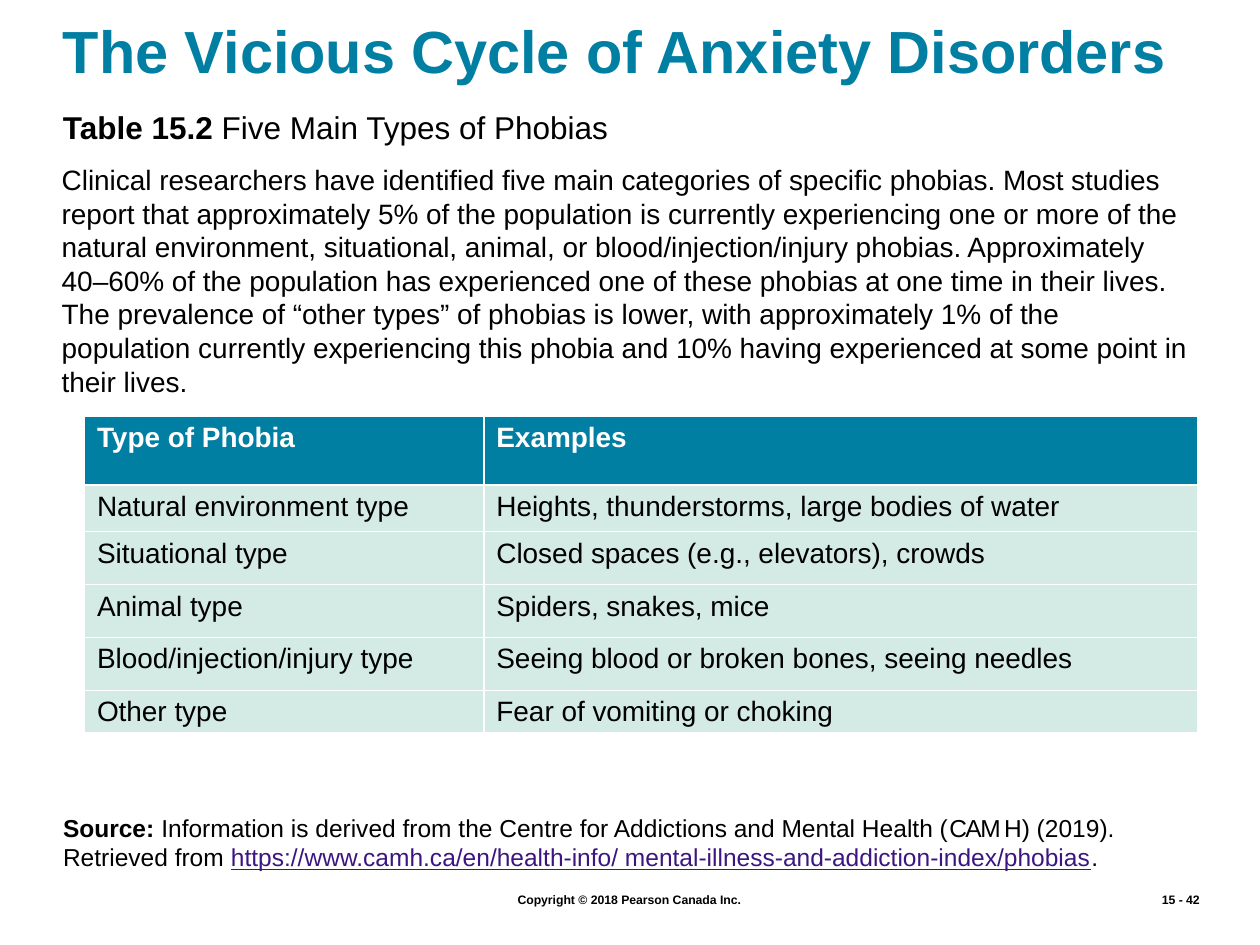
from pptx import Presentation
from pptx.dml.color import RGBColor
from pptx.enum.text import MSO_ANCHOR, PP_ALIGN
from pptx.util import Inches, Pt

TEAL = RGBColor(0x00, 0x7F, 0xA3)
MINT = RGBColor(0xD4, 0xEA, 0xE4)
PURPLE = RGBColor(0x3C, 0x15, 0x81)
BLACK = RGBColor(0, 0, 0)
WHITE = RGBColor(255, 255, 255)


def style(paragraph, size, color=BLACK, bold=False):
    font = paragraph.font
    font.name = "Arial"
    font.size = Pt(size)
    font.color.rgb = color
    font.bold = bold


def add_text(left, top, width, height, runs, size, color=BLACK, bold=False, inset=0):
    shape = slide.shapes.add_textbox(Inches(left), Inches(top), Inches(width), Inches(height))
    frame = shape.text_frame
    frame.word_wrap = True
    frame.margin_left = frame.margin_right = Inches(inset)
    frame.margin_top = frame.margin_bottom = Inches(inset / 2)
    paragraph = frame.paragraphs[0]
    style(paragraph, size, color, bold)
    for text in runs:
        paragraph.add_run().text = text
    return shape


presentation = Presentation()
presentation.slide_width = Inches(10)
presentation.slide_height = Inches(7.5)
slide = presentation.slides.add_slide(presentation.slide_layouts[6])

copyright_line = add_text(1.08, 7.03, 7.83, 0.22, ["Copyright © 2018 Pearson Canada Inc."], 7, bold=True, inset=0.1)
copyright_line.text_frame.paragraphs[0].alignment = PP_ALIGN.CENTER
page_number = add_text(8.62, 7.03, 1, 0.22, ["15 - 42"], 7, bold=True, inset=0.1)
page_number.text_frame.paragraphs[0].alignment = PP_ALIGN.RIGHT

title = add_text(0.5, 0.09, 9, 0.61, ["The Vicious Cycle of Anxiety Disorders"], 34, TEAL, True)
title.text_frame.vertical_anchor = MSO_ANCHOR.MIDDLE

caption = add_text(0.5, 0.86, 9, 0.32, ["Table 15.2 ", "Five Main Types of Phobias"], 18)
caption.text_frame.paragraphs[0].runs[0].font.bold = True

add_text(0.49, 1.29, 9, 1.88, [
    "Clinical researchers have identified five main categories of specific phobias. "
    "Most studies report that approximately 5% of the population is currently experiencing "
    "one or more of the natural environment, situational, animal, or blood/injection/injury "
    "phobias. Approximately 40–60% of the population has experienced one of these phobias at "
    "one time in their lives. The prevalence of “other types” of phobias is lower, with "
    "approximately 1% of the population currently experiencing this phobia and 10% having "
    "experienced at some point in their lives."
], 16)

phobias = [
    ("Type of Phobia", "Examples"),
    ("Natural environment type", "Heights, thunderstorms, large bodies of water"),
    ("Situational type", "Closed spaces (e.g., elevators), crowds"),
    ("Animal type", "Spiders, snakes, mice"),
    ("Blood/injection/injury type", "Seeing blood or broken bones, seeing needles"),
    ("Other type", "Fear of vomiting or choking"),
]
row_heights = [0.55, 0.37, 0.42, 0.42, 0.42, 0.33]
table = slide.shapes.add_table(
    len(phobias), 2, Inches(0.67), Inches(3.3), Inches(8.84), Inches(sum(row_heights))
).table
for column, width in zip(table.columns, (3.17, 5.67)):
    column.width = Inches(width)
for row_index, (row, height, texts) in enumerate(zip(table.rows, row_heights, phobias)):
    row.height = Inches(height)
    header = row_index == 0
    for cell, text in zip(row.cells, texts):
        cell.margin_bottom = Inches(0.02)
        cell.fill.solid()
        cell.fill.fore_color.rgb = TEAL if header else MINT
        cell.text = text
        style(cell.text_frame.paragraphs[0], 16, WHITE if header else BLACK, header)

source = add_text(0.5, 6.45, 8.92, 0.47, [
    "Source: ",
    "Information is derived from the Centre for Addictions and Mental Health (",
    "C A M ",
    "H) (2019). Retrieved from ",
    "https://www.camh.ca/en/health-info/ mental-illness-and-addiction-index/phobias",
    ".",
], 14)
label, _, acronym, _, address, _ = source.text_frame.paragraphs[0].runs
label.font.bold = True
acronym._r.get_or_add_rPr().set("spc", "-200")
address.font.color.rgb = PURPLE
address.font.underline = True

presentation.save("out.pptx")
